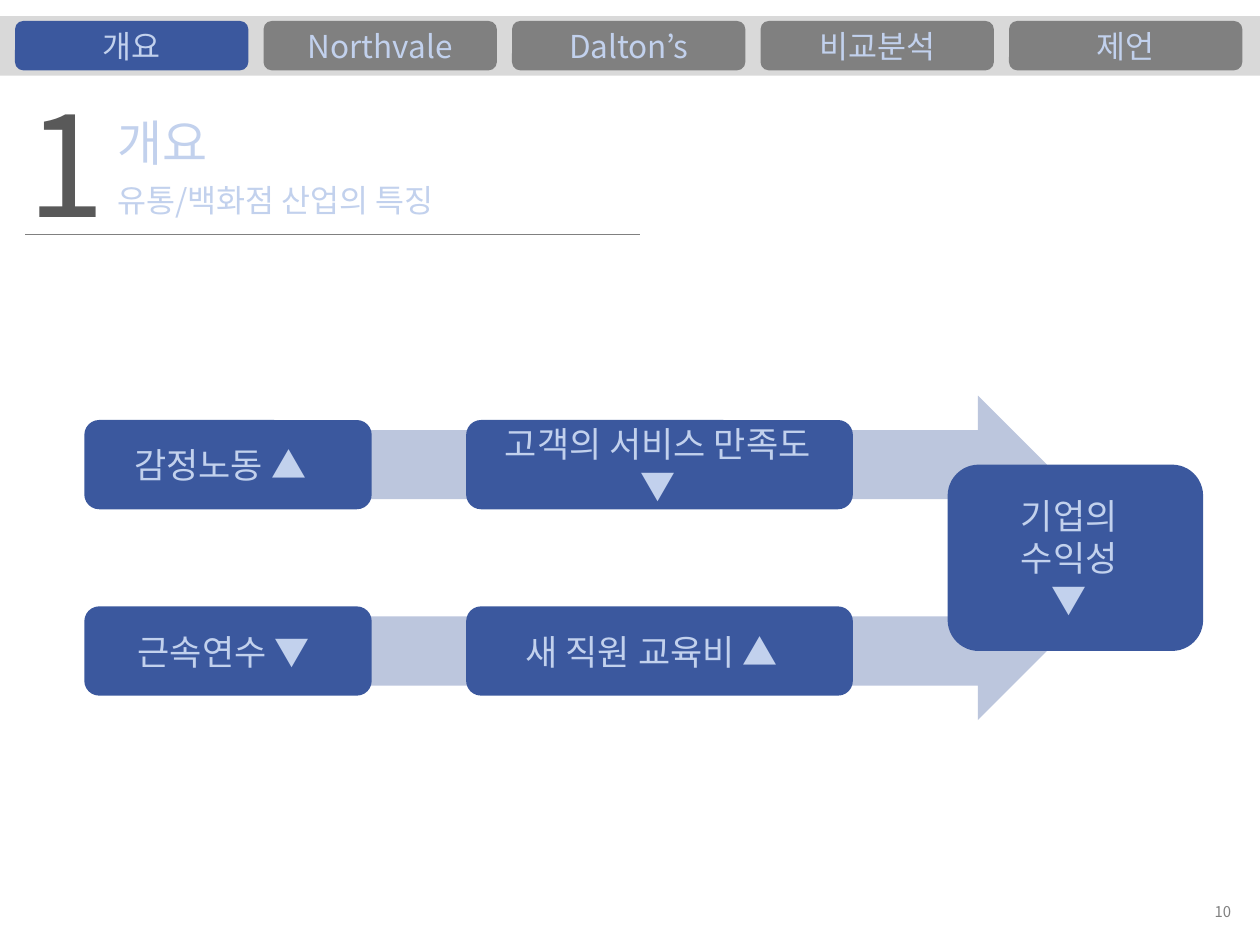
from lxml import etree
from pptx import Presentation
from pptx.dml.color import RGBColor
from pptx.enum.shapes import MSO_CONNECTOR, MSO_SHAPE
from pptx.enum.text import MSO_ANCHOR, MSO_AUTO_SIZE, PP_ALIGN
from pptx.oxml.ns import qn
from pptx.util import Pt

ROUNDED, ARROW = MSO_SHAPE.ROUNDED_RECTANGLE, MSO_SHAPE.RIGHT_ARROW
LEFT, CENTER, RIGHT = PP_ALIGN.LEFT, PP_ALIGN.CENTER, PP_ALIGN.RIGHT
TOP, MIDDLE = MSO_ANCHOR.TOP, MSO_ANCHOR.MIDDLE

FONT = "Noto Sans CJK KR"
BLUE, GRAY, BAND = "3B589E", "808080", "D9D9D9"
PALE, DARK = "C2D1ED", "595959"

TABS = ["개요", "Northvale", "Dalton’s", "비교분석", "제언"]
ACTIVE_TAB = "개요"
SECTION_NUMBER, HEADING, SUBHEADING = "1", "개요", "유통/백화점 산업의 특징"
PAGE_NUMBER = "10"
CHAINS = [
    [("감정노동 ▲", 16), ("고객의 서비스 만족도\n▼", 9)],
    [("근속연수 ▼", 12), ("새 직원 교육비 ▲", 16)],
]
OUTCOME = "기업의\n수익성\n▼"

TAB_LEFT, TAB_STEP = 8.6, 142
STAGE_COLUMNS = [(48.2, 164.2), (266.4, 221)]
STAGE_HEIGHT = 51
CHAIN_CENTER, CHAIN_STEP = 265.5, 106.5
ARROW_HEIGHT = 79


def rgb(code):
    return RGBColor.from_string(code)


def write(shape, text, size, color, align=LEFT, anchor=TOP, right_margin=7.2):
    frame = shape.text_frame
    frame.word_wrap = True
    frame.auto_size = MSO_AUTO_SIZE.NONE
    frame.vertical_anchor = anchor
    frame.margin_right = Pt(right_margin)
    frame.text = text
    for paragraph in frame.paragraphs:
        paragraph.alignment = align
        font = paragraph.font
        font.size = Pt(size)
        font.color.rgb = rgb(color)
        font.name = FONT
        etree.SubElement(font._element, qn("a:ea"), typeface=FONT)


def add_block(slide, kind, left, top, width, height, color):
    block = slide.shapes.add_shape(kind, Pt(left), Pt(top), Pt(width), Pt(height))
    block.shadow.inherit = False
    block.fill.solid()
    block.fill.fore_color.rgb = rgb(color)
    block.line.fill.background()
    return block


def add_label(slide, left, top, width, height, *text, **layout):
    label = slide.shapes.add_textbox(Pt(left), Pt(top), Pt(width), Pt(height))
    write(label, *text, **layout)


def add_navigation(slide):
    add_block(slide, ROUNDED, -14.4, 9.2, 748, 34, BAND)
    for index, name in enumerate(TABS):
        color = BLUE if name == ACTIVE_TAB else GRAY
        tab = add_block(slide, ROUNDED, TAB_LEFT + index * TAB_STEP, 12, 133.3, 28.2, color)
        write(tab, name, 18, PALE, CENTER, MIDDLE)


def add_heading(slide):
    title = slide.shapes.title
    title.left, title.top, title.width, title.height = Pt(59.8), Pt(60.5), Pt(323), Pt(41)
    write(title, HEADING, 28, PALE)
    add_label(slide, 59.8, 100, 323, 29, SUBHEADING, 18, PALE)
    add_label(slide, 8.6, 41, 73.4, 104.4, SECTION_NUMBER, 80, DARK)
    rule = slide.shapes.add_connector(MSO_CONNECTOR.STRAIGHT, Pt(14.4), Pt(134), Pt(365.8), Pt(134))
    rule.line.color.rgb = rgb(GRAY)
    rule.line.width = Pt(0.75)
    etree.SubElement(rule._element.spPr, qn("a:effectLst"))


def add_flow(slide):
    for row, stages in enumerate(CHAINS):
        center = CHAIN_CENTER + row * CHAIN_STEP
        arrow = add_block(slide, ARROW, 107.3, center - ARROW_HEIGHT / 2, 491, ARROW_HEIGHT, BLUE)
        tint = arrow.fill._xPr.find(qn("a:solidFill"))[0]
        etree.SubElement(tint, qn("a:alpha"), val="34000")
        for (left, width), (text, margin) in zip(STAGE_COLUMNS, stages):
            stage = add_block(slide, ROUNDED, left, center - STAGE_HEIGHT / 2, width, STAGE_HEIGHT, BLUE)
            write(stage, text, 20, PALE, CENTER, MIDDLE, margin)
    outcome = add_block(slide, ROUNDED, 541.5, CHAIN_CENTER, 146, CHAIN_STEP, BLUE)
    write(outcome, OUTCOME, 20, PALE, CENTER, MIDDLE, 14)


def main():
    deck = Presentation()
    deck.slide_width, deck.slide_height = Pt(720), Pt(540)
    slide = deck.slides.add_slide(deck.slide_layouts[5])
    add_label(slide, 558.7, 511.2, 152, 19.4, PAGE_NUMBER, 8.5, GRAY, RIGHT, MIDDLE)
    add_navigation(slide)
    add_heading(slide)
    add_flow(slide)
    deck.save("out.pptx")


if __name__ == "__main__":
    main()
